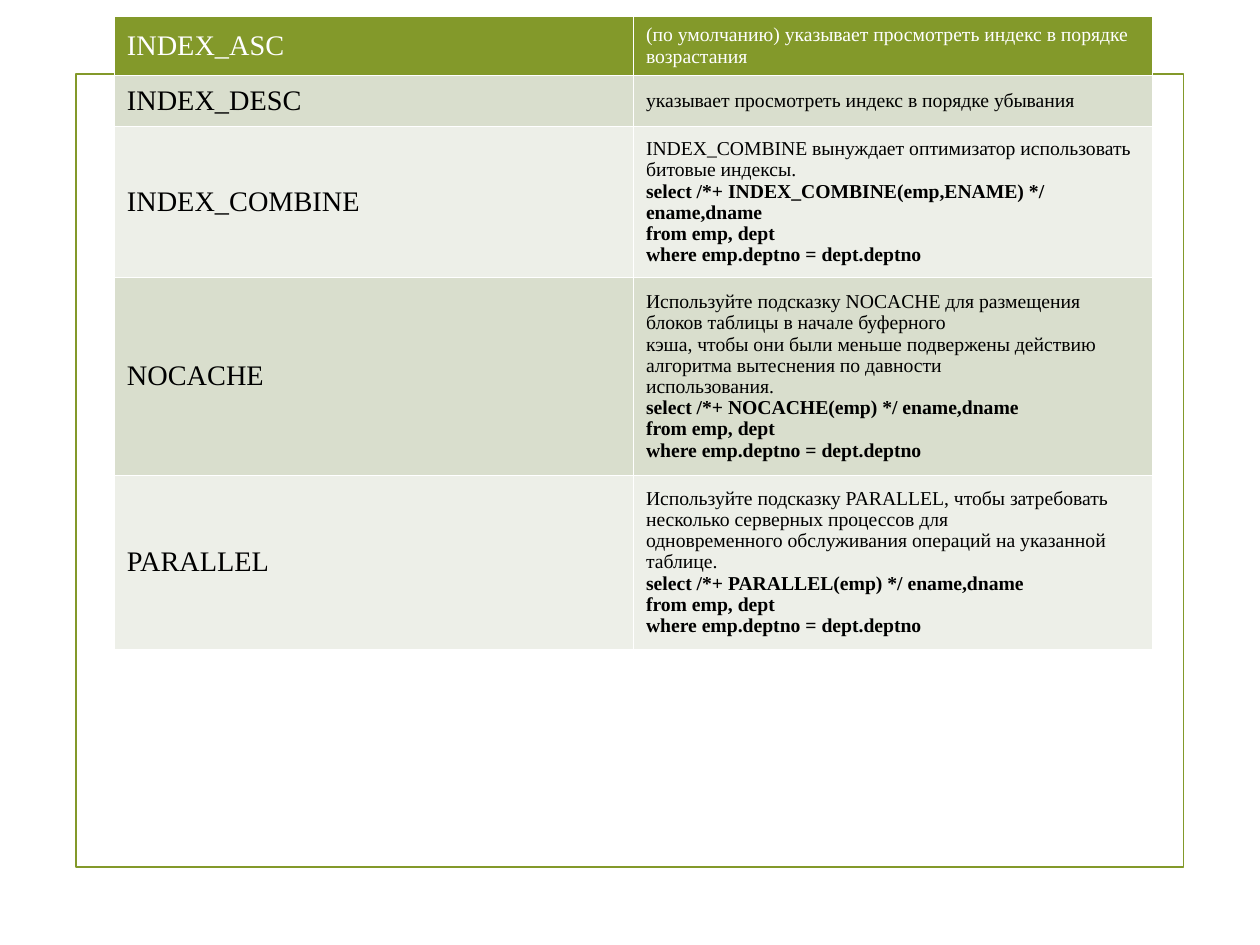
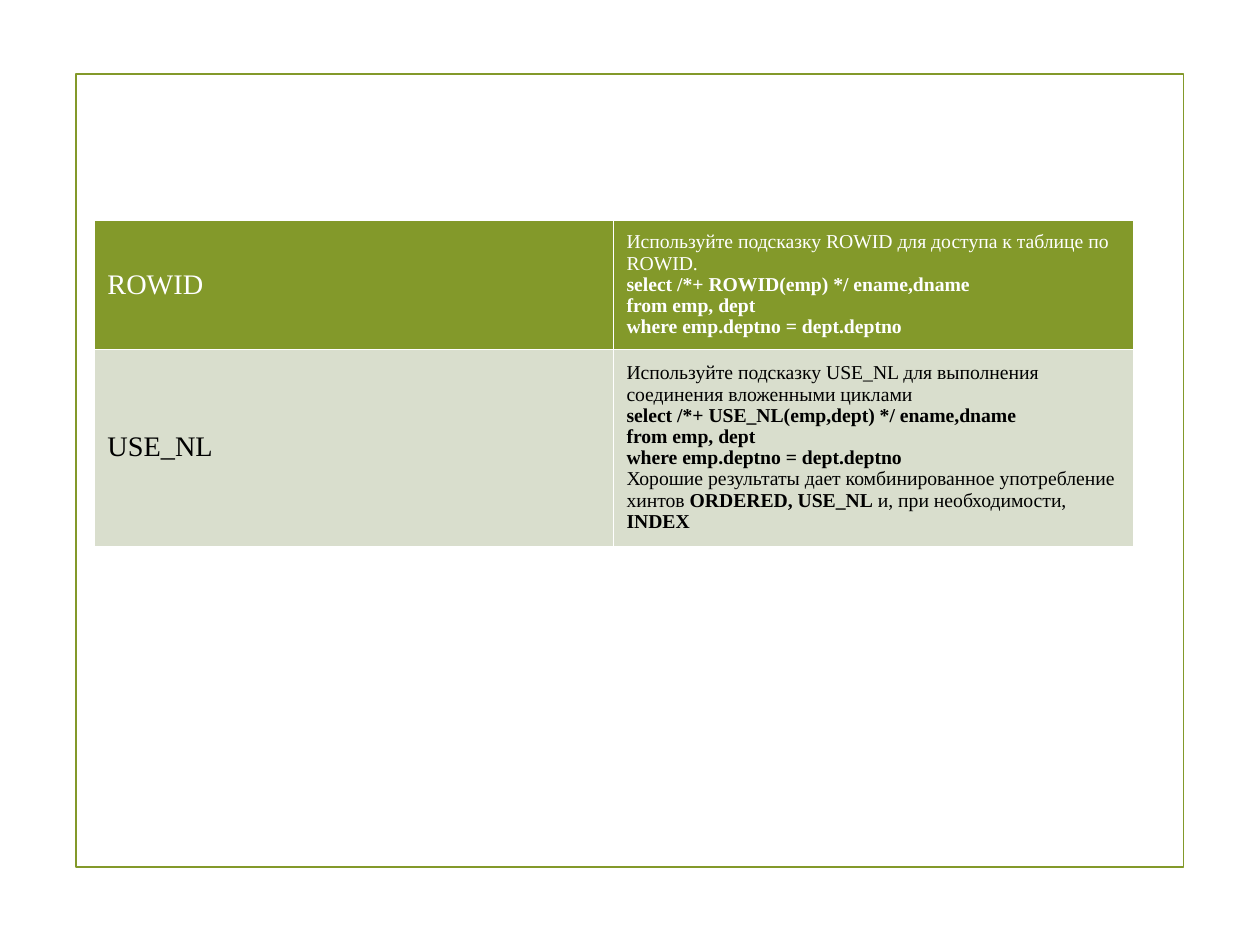
import dataclasses

import lxml.etree
import pptx
import pptx.dml.color
import pptx.enum.shapes
import pptx.enum.text
import pptx.oxml.ns
import pptx.util

Cm = pptx.util.Cm
Pt = pptx.util.Pt
qn = pptx.oxml.ns.qn


def rgb(code):
    return pptx.dml.color.RGBColor.from_string(code)


@dataclasses.dataclass(frozen=True)
class Theme:
    font: str = "Times New Roman"
    green: str = "83992A"
    white: str = "FFFFFF"
    black: str = "000000"
    bands: tuple = ("D9DECD", "EDEFE8")
    name_size: float = 23
    body_size: float = 16
    leading: float = 0.97
    rule: float = 1
    edge: float = 1.25


def query(hint):
    """Lines of the sample query that carries the hint, in bold marks."""
    return [
        f"**select /*+ {hint} */ ename,dname**",
        "**from emp, dept**",
        "**where emp.deptno = dept.deptno**",
    ]


class Deck:
    """Holds the theme, the presentation and the current slide."""

    def __init__(self, theme):
        self.theme = theme
        self.prs = pptx.Presentation()
        self.prs.slide_width = Cm(36.12)
        self.prs.slide_height = Cm(27.1)
        self.slide = None

    def page(self):
        self.slide = self.prs.slides.add_slide(self.prs.slide_layouts[6])
        self.frame()

    def frame(self):
        box = self.slide.shapes.add_shape(
            pptx.enum.shapes.MSO_SHAPE.RECTANGLE,
            Cm(2.18), Cm(2.13), Cm(31.75), Cm(22.73))
        box.shadow.inherit = False
        box.fill.background()
        box.line.color.rgb = rgb(self.theme.green)
        box.line.width = Pt(self.theme.edge)

    def table(self, left, top, rows):
        """Draw rows of (height in cm, hint name, lines of text)."""
        look = self.theme
        width = Cm(14.88)
        total = Cm(sum(row[0] for row in rows))
        grid = self.slide.shapes.add_table(
            len(rows), 2, Cm(left), Cm(top), width * 2, total).table
        for col in grid.columns:
            col.width = width
        for num, (height, name, lines) in enumerate(rows):
            grid.rows[num].height = Cm(height)
            fill = look.bands[(num - 1) % 2] if num else look.green
            ink = look.black if num else look.white
            self.cell(grid.cell(num, 0), [name], fill, ink, look.name_size)
            self.cell(grid.cell(num, 1), lines, fill, ink, look.body_size)

    def cell(self, cell, lines, fill, ink, size):
        form = {
            "vertical_anchor": pptx.enum.text.MSO_ANCHOR.MIDDLE,
            "margin_left": Cm(0.36), "margin_right": Cm(0.36),
            "margin_top": Cm(0.18), "margin_bottom": Cm(0.18),
        }
        for key, value in form.items():
            setattr(cell, key, value)
        self.border(cell)
        cell.fill.solid()
        cell.fill.fore_color.rgb = rgb(fill)
        for num, line in enumerate(lines):
            frame = cell.text_frame
            para = frame.add_paragraph() if num else frame.paragraphs[0]
            para.alignment = pptx.enum.text.PP_ALIGN.LEFT
            para.line_spacing = self.theme.leading
            self.text(para, line, ink, size)

    def text(self, para, line, ink, size):
        """Add the line as runs; text between double stars is bold."""
        for num, part in enumerate(line.split("**")):
            if not part:
                continue
            run = para.add_run()
            run.text = part
            form = {"name": self.theme.font, "size": Pt(size),
                    "bold": num % 2 == 1}
            for key, value in form.items():
                setattr(run.font, key, value)
            run.font.color.rgb = rgb(ink)

    def border(self, cell):
        props = cell._tc.get_or_add_tcPr()
        for side in ("a:lnL", "a:lnR", "a:lnT", "a:lnB"):
            line = lxml.etree.SubElement(
                props, qn(side), w=str(Pt(self.theme.rule)))
            paint = lxml.etree.SubElement(line, qn("a:solidFill"))
            lxml.etree.SubElement(
                paint, qn("a:srgbClr"), val=self.theme.white)


SCANS = [
    (1.68, "INDEX_ASC",
     ["(по умолчанию) указывает просмотреть индекс в порядке возрастания"]),
    (1.47, "INDEX_DESC",
     ["указывает просмотреть индекс в порядке убывания"]),
    (4.34, "INDEX_COMBINE",
     ["INDEX_COMBINE вынуждает оптимизатор использовать битовые индексы.",
      *query("INDEX_COMBINE(emp,ENAME)")]),
    (5.66, "NOCACHE",
     ["Используйте подсказку NOCACHE для размещения блоков таблицы "
      "в начале буферного",
      "кэша, чтобы они были меньше подвержены действию алгоритма "
      "вытеснения по давности",
      "использования.",
      *query("NOCACHE(emp)")]),
    (5, "PARALLEL",
     ["Используйте подсказку PARALLEL, чтобы затребовать несколько "
      "серверных процессов для",
      "одновременного обслуживания операций на указанной таблице.",
      *query("PARALLEL(emp)")]),
]

JOINS = [
    (3.68, "ROWID",
     ["Используйте подсказку ROWID для доступа к таблице по ROWID.",
      *query("ROWID(emp)")]),
    (5.66, "USE_NL",
     ["Используйте подсказку USE_NL для выполнения соединения "
      "вложенными циклами",
      *query("USE_NL(emp,dept)"),
      "Хорошие результаты дает комбинированное употребление хинтов "
      "**ORDERED, USE_NL** и, при необходимости, **INDEX**"]),
]


def main():
    deck = Deck(Theme())
    for left, top, rows in ((3.28, 0.48, SCANS), (2.72, 6.33, JOINS)):
        deck.page()
        deck.table(left, top, rows)
    deck.prs.save("out.pptx")


if __name__ == "__main__":
    main()
